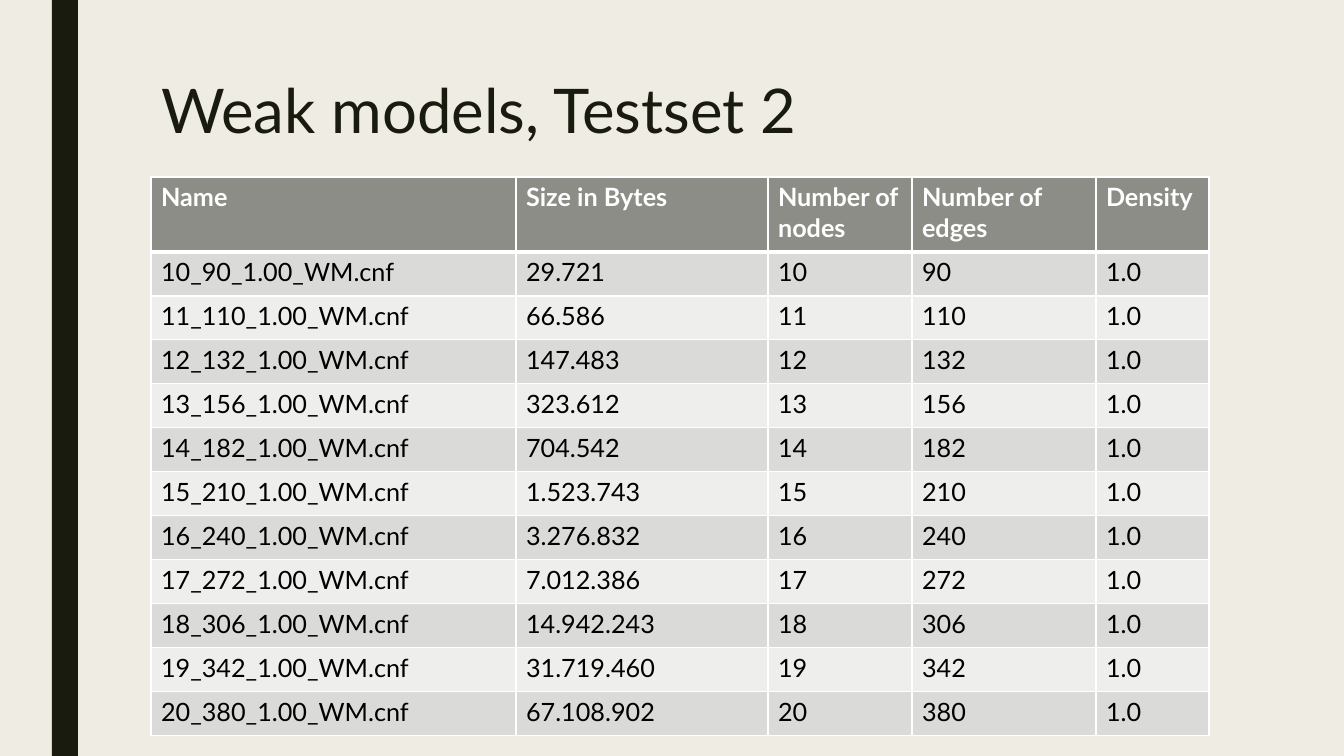
from lxml import etree
from pptx import Presentation
from pptx import util as u
from pptx.dml.color import RGBColor
from pptx.enum import shapes, text
from pptx.oxml import ns

PX = 914400 / 100.8
FONT = "Lato"
CREAM = RGBColor(0xEF, 0xED, 0xE3)
INK = RGBColor(0x19, 0x1B, 0x0E)
WHITE = RGBColor(0xFF, 0xFF, 0xFF)
BLACK = RGBColor(0, 0, 0)
HEADER_GREY = RGBColor(0x8C, 0x8D, 0x86)
BANDS = (RGBColor(0xEE, 0xEE, 0xED), RGBColor(0xDA, 0xDB, 0xD9))


def px(length):
    return u.Emu(round(length * PX))


def write(frame, words, size=18, color=BLACK, bold=False, spacing=None):
    frame.word_wrap = True
    paragraph = frame.paragraphs[0]
    paragraph.alignment = text.PP_ALIGN.LEFT
    if spacing:
        paragraph.line_spacing = spacing
    run = paragraph.add_run()
    run.text = words
    run.font.name = FONT
    run.font.size = u.Pt(size)
    run.font.bold = bold
    run.font.color.rgb = color


def border(cell, side, points, color=WHITE):
    edge = etree.SubElement(cell._tc.get_or_add_tcPr(), ns.qn(f"a:ln{side}"), w=str(u.Pt(points)))
    fill = etree.SubElement(edge, ns.qn("a:solidFill"))
    etree.SubElement(fill, ns.qn("a:srgbClr"), val=str(color))


class Deck:
    def __init__(self, width, height):
        self.show = Presentation()
        self.show.slide_width, self.show.slide_height = px(width), px(height)
        self.slide = self.show.slides.add_slide(self.show.slide_layouts[5])
        background = self.slide.background.fill
        background.solid()
        background.fore_color.rgb = CREAM

    def bar(self, *box):
        stripe = self.slide.shapes.add_shape(shapes.MSO_SHAPE.RECTANGLE, *map(px, box))
        stripe.shadow.inherit = False
        stripe.fill.solid()
        stripe.fill.fore_color.rgb = INK
        stripe.line.fill.background()

    def title(self, words, *box):
        heading = self.slide.shapes.title
        heading.left, heading.top, heading.width, heading.height = map(px, box)
        heading.text_frame.vertical_anchor = text.MSO_ANCHOR.TOP
        write(heading.text_frame, words, size=44, color=INK, spacing=0.89)

    def table(self, records, left, top, widths, heights):
        grid = self.slide.shapes.add_table(
            len(records), len(widths), px(left), px(top), px(sum(widths)), px(sum(heights))
        ).table
        for column, width in zip(grid.columns, widths):
            column.width = px(width)
        for index, (row, height, record) in enumerate(zip(grid.rows, heights, records)):
            row.height = px(height)
            header = index == 0
            for cell, words in zip(row.cells, record):
                for side in "LRTB":
                    under_header = (side, index) in (("B", 0), ("T", 1))
                    border(cell, side, 3 if under_header else 1)
                cell.fill.solid()
                cell.fill.fore_color.rgb = HEADER_GREY if header else BANDS[index % 2]
                write(cell.text_frame, words, color=WHITE if header else BLACK, bold=header)


HEADINGS = ("Name", "Size in Bytes", "Number of nodes", "Number of edges", "Density")
SIZES = ("29.721", "66.586", "147.483", "323.612", "704.542", "1.523.743",
         "3.276.832", "7.012.386", "14.942.243", "31.719.460", "67.108.902")


def model(nodes, size):
    edges = nodes * (nodes - 1)
    return f"{nodes}_{edges}_1.00_WM.cnf", size, str(nodes), str(edges), "1.0"


models = [model(nodes, size) for nodes, size in enumerate(SIZES, start=10)]

deck = Deck(1344, 756)
deck.bar(52, 0, 26, 756)
deck.title("Weak models, Testset 2", 151, 76, 1058, 163)
deck.table([HEADINGS, *models], 151, 177, (365, 252, 144, 184, 113), [75] + [44] * len(models))
deck.show.save("out.pptx")
